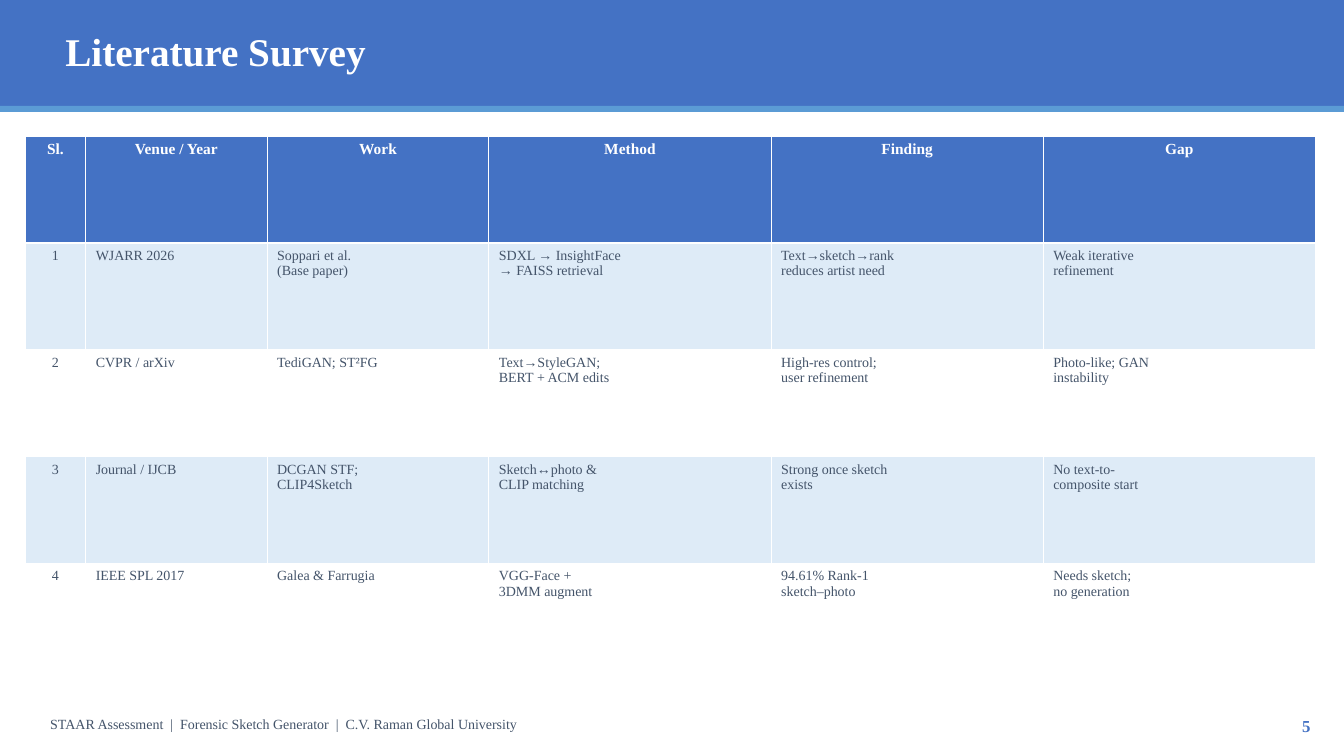
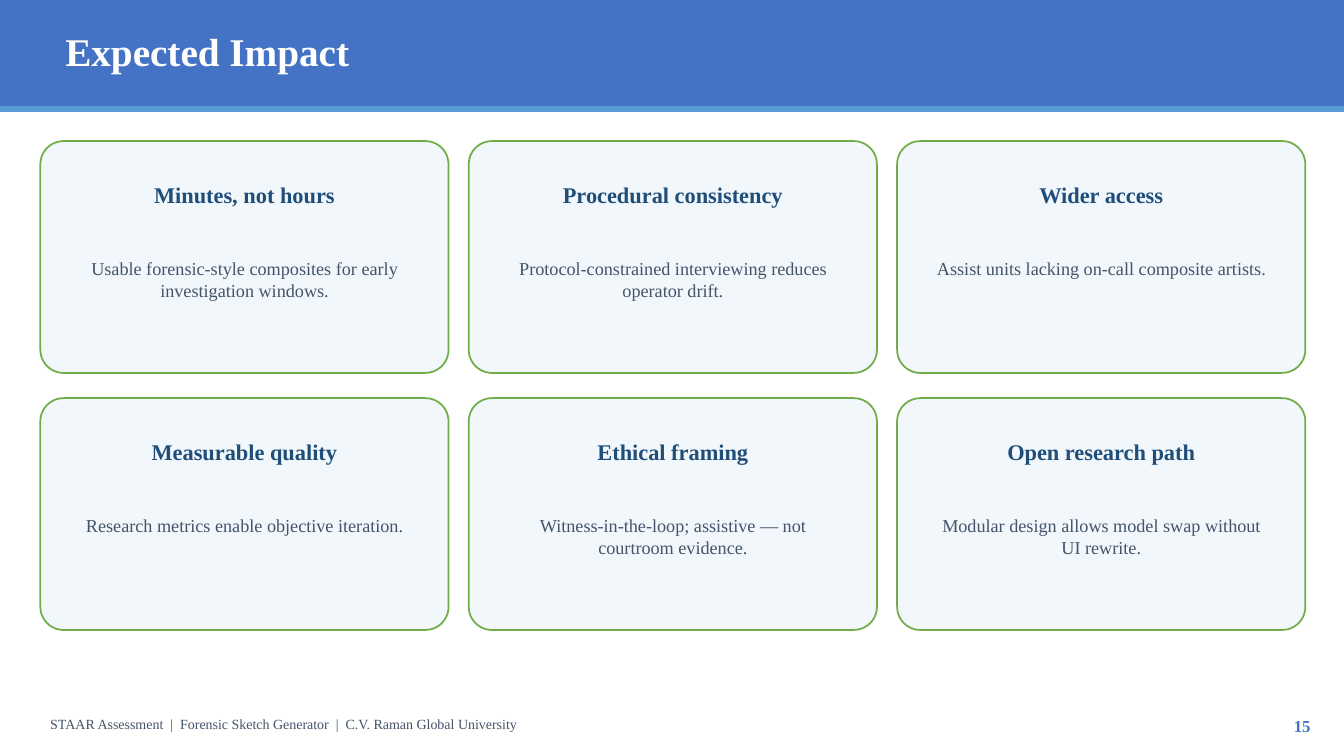
from copy import deepcopy
from dataclasses import dataclass

from pptx import Presentation, util as u
from pptx.dml.color import RGBColor
from pptx.enum import shapes, text as t
from pptx.oxml.ns import qn


@dataclass(frozen=True)
class Theme:
    font: str = "Times New Roman"
    blue: str = "4472C4"
    accent: str = "5B9BD5"
    navy: str = "1F4E79"
    slate: str = "44546A"
    white: str = "FFFFFF"
    stripe: str = "DEEBF7"
    card: str = "F2F7FC"
    green: str = "70AD47"
    title: int = 28
    heading: int = 16
    body: int = 13
    number: int = 12
    header: int = 11
    small: int = 10


TH = Theme()
LEFT, CENTER, RIGHT = t.PP_ALIGN.LEFT, t.PP_ALIGN.CENTER, t.PP_ALIGN.RIGHT
WIDTH, HEIGHT = 960, 540
FOOTER = "STAAR Assessment  |  Forensic Sketch Generator  |  C.V. Raman Global University"


def write(tf, text, *, size, color, bold=False, align=LEFT, fit=True):
    """Fill a text frame with one formatted paragraph."""
    if fit:
        tf.word_wrap = True
        tf.auto_size = t.MSO_AUTO_SIZE.SHAPE_TO_FIT_TEXT
    p = tf.paragraphs[0]
    p.text = text
    p.alignment = align
    for r in p.runs:
        r.font.name = TH.font
        r.font.size = u.Pt(size)
        r.font.bold = bold
        r.font.color.rgb = RGBColor.from_string(color)
    # Line breaks take the size of the text around them
    for br in p._p.findall(qn("a:br")):
        br.insert(0, deepcopy(p.runs[0]._r.rPr))


def block(s, kind, box, fill, line=None):
    """Add a filled shape, with an outline if a line colour is given."""
    sp = s.shapes.add_shape(kind, *map(u.Pt, box))
    sp.shadow.inherit = False
    sp.fill.solid()
    sp.fill.fore_color.rgb = RGBColor.from_string(fill)
    if line:
        sp.line.color.rgb = RGBColor.from_string(line)
        sp.line.width = u.Pt(1.25)
    else:
        sp.line.fill.background()
    return sp


prs = Presentation()
prs.slide_width, prs.slide_height = u.Pt(WIDTH), u.Pt(HEIGHT)

# Shared title band and footer
slides = []
for title, number in (("Literature Survey", "5"), ("Expected Impact", "15")):
    s = prs.slides.add_slide(prs.slide_layouts[6])
    block(s, shapes.MSO_SHAPE.RECTANGLE, (0, 0, WIDTH, 75.6), TH.blue)
    block(s, shapes.MSO_SHAPE.RECTANGLE, (0, 75.6, WIDTH, 4.32), TH.accent)
    for box, text, style in (
        ((39.6, 15.84, 828, 50.4), title,
         dict(size=TH.title, color=TH.white, bold=True)),
        ((28.8, 507.6, 720, 25.2), FOOTER,
         dict(size=TH.small, color=TH.slate)),
        ((878.4, 507.6, 64.8, 25.2), number,
         dict(size=TH.number, color=TH.blue, bold=True, align=RIGHT)),
    ):
        write(s.shapes.add_textbox(*map(u.Pt, box)).text_frame, text, **style)
    slides.append(s)
survey, impact = slides

# Literature table
rows = (
    ("Sl.", "Venue / Year", "Work", "Method", "Finding", "Gap"),
    ("1", "WJARR 2026", "Soppari et al.\n(Base paper)",
     "SDXL → InsightFace\n→ FAISS retrieval",
     "Text→sketch→rank\nreduces artist need", "Weak iterative\nrefinement"),
    ("2", "CVPR / arXiv", "TediGAN; ST²FG",
     "Text→StyleGAN;\nBERT + ACM edits",
     "High-res control;\nuser refinement", "Photo-like; GAN\ninstability"),
    ("3", "Journal / IJCB", "DCGAN STF;\nCLIP4Sketch",
     "Sketch↔photo &\nCLIP matching",
     "Strong once sketch\nexists", "No text-to-\ncomposite start"),
    ("4", "IEEE SPL 2017", "Galea & Farrugia",
     "VGG-Face +\n3DMM augment",
     "94.61% Rank-1\nsketch–photo", "Needs sketch;\nno generation"),
)
col_widths = (43.2, 129.6, 158.4, 201.6, 194.4, 194.4)
table = survey.shapes.add_table(
    len(rows), len(col_widths),
    *map(u.Pt, (18, 97.2, sum(col_widths), 381.6))).table
for col, width in zip(table.columns, col_widths):
    col.width = u.Pt(width)
for i, row in enumerate(rows):
    if i == 0:
        fill = TH.blue
        style = dict(size=TH.header, color=TH.white, bold=True)
    else:
        fill = TH.stripe if i % 2 else TH.white
        style = dict(size=TH.small, color=TH.slate)
    for j, text in enumerate(row):
        cell = table.cell(i, j)
        cell.fill.solid()
        cell.fill.fore_color.rgb = RGBColor.from_string(fill)
        align = CENTER if i == 0 or j == 0 else LEFT
        write(cell.text_frame, text, align=align, fit=False, **style)

# Impact cards, three to a row
cards = (
    ("Minutes, not hours",
     "Usable forensic-style composites for early investigation windows."),
    ("Procedural consistency",
     "Protocol-constrained interviewing reduces operator drift."),
    ("Wider access", "Assist units lacking on-call composite artists."),
    ("Measurable quality", "Research metrics enable objective iteration."),
    ("Ethical framing",
     "Witness-in-the-loop; assistive — not courtroom evidence."),
    ("Open research path",
     "Modular design allows model swap without UI rewrite."),
)
card_w, card_h, gap_x, gap_y = 291.6, 165.6, 14.4, 18
for i, (heading, body) in enumerate(cards):
    row, col = divmod(i, 3)
    x = 28.8 + col * (card_w + gap_x)
    y = 100.8 + row * (card_h + gap_y)
    sp = block(impact, shapes.MSO_SHAPE.ROUNDED_RECTANGLE,
               (x, y, card_w, card_h), TH.card, TH.green)
    sp.adjustments[0] = 0.1
    for inset, dy, h, text, style in (
        (14.4, 25.2, 39.6, heading,
         dict(size=TH.heading, color=TH.navy, bold=True)),
        (18, 79.2, 64.8, body, dict(size=TH.body, color=TH.slate)),
    ):
        box = (x + inset, y + dy, card_w - 2 * inset, h)
        write(impact.shapes.add_textbox(*map(u.Pt, box)).text_frame, text,
              align=CENTER, **style)

prs.save("out.pptx")
